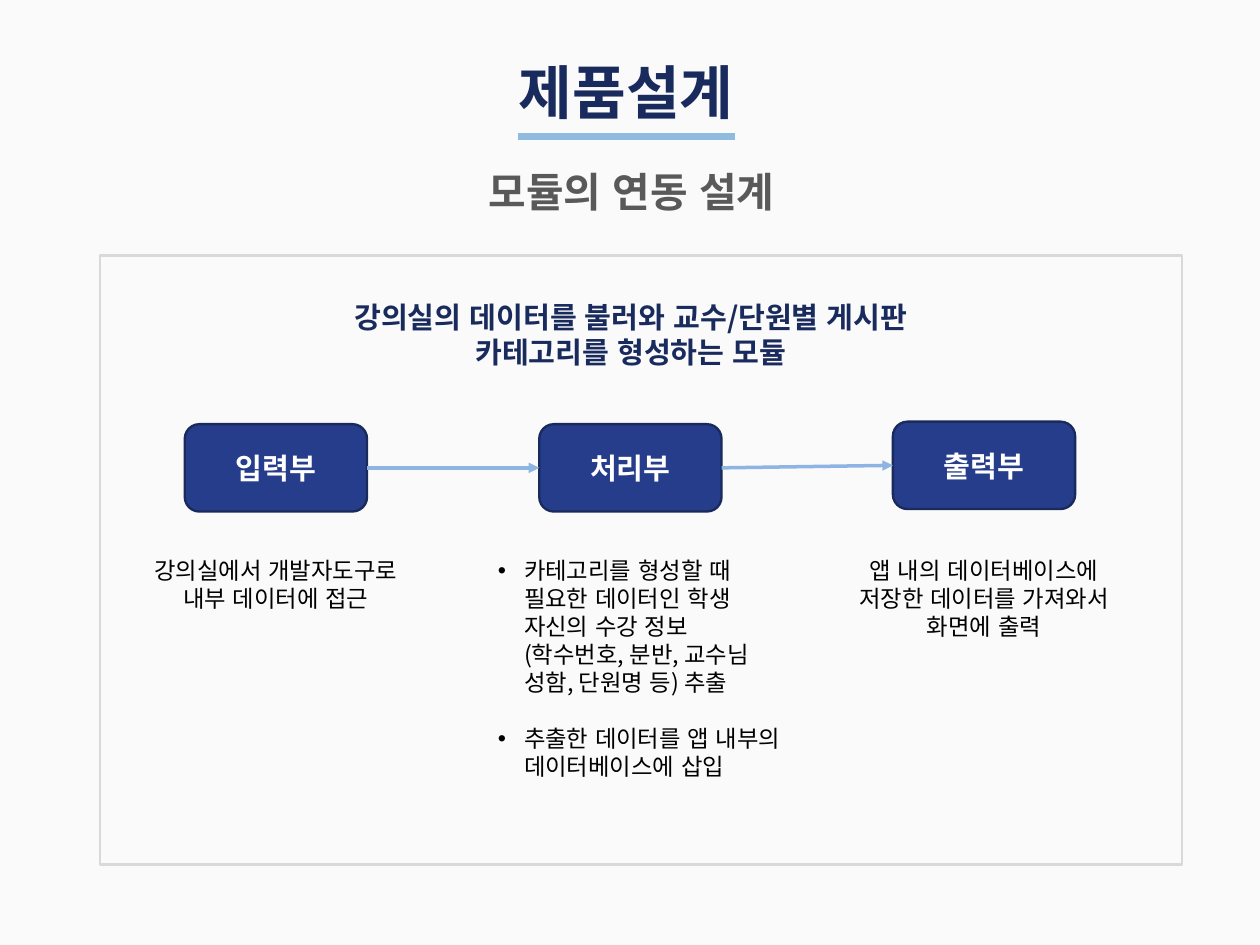
from lxml import etree
from pptx import Presentation
from pptx.dml.color import RGBColor
from pptx.enum.lang import MSO_LANGUAGE_ID
from pptx.enum.shapes import MSO_CONNECTOR, MSO_SHAPE
from pptx.enum.text import MSO_ANCHOR, PP_ALIGN
from pptx.oxml.ns import qn
from pptx.util import Inches, Pt

STRAIGHT = MSO_CONNECTOR.STRAIGHT
RECTANGLE, ROUNDED = MSO_SHAPE.RECTANGLE, MSO_SHAPE.ROUNDED_RECTANGLE
LEFT, CENTER = PP_ALIGN.LEFT, PP_ALIGN.CENTER
MIDDLE = MSO_ANCHOR.MIDDLE
KOREAN = MSO_LANGUAGE_ID.KOREAN

FONT = "Noto Sans CJK KR"
LINE_HEIGHT = 1.2
BACKGROUND = RGBColor(0xFA, 0xFA, 0xFA)
NAVY = RGBColor(0x19, 0x2A, 0x5D)
BLUE = RGBColor(0x25, 0x3D, 0x8B)
UNDERLINE = RGBColor(0x90, 0xBA, 0xDE)
ARROW = RGBColor(0x8E, 0xB4, 0xE3)
FRAME = RGBColor(0xD9, 0xD9, 0xD9)
GRAY = RGBColor(0x59, 0x59, 0x59)
BLACK = RGBColor(0x00, 0x00, 0x00)
WHITE = RGBColor(0xFF, 0xFF, 0xFF)

HEADING = {"size": Pt(25), "bold": True}
BODY = {"size": Pt(20), "bold": False}

STAGE_SIZE = (2.17, 1.04)
# label, left, top
STAGES = [("입력부", 2.2, 5.05), ("처리부", 6.42, 5.05), ("출력부", 10.63, 5.02)]

# left, width, height, paragraphs, bulleted
DESCRIPTIONS = [
    (1.65, 3.27, 0.77, ["강의실에서 개발자도구로 내부 데이터에 접근"], False),
    (5.83, 3.59, 3.13,
     ["카테고리를 형성할 때 필요한 데이터인 학생 자신의 수강 정보 "
      "(학수번호, 분반, 교수님 성함, 단원명 등) 추출",
      "추출한 데이터를 앱 내부의 데이터베이스에 삽입"], True),
    (10.08, 3.27, 1.11,
     ["앱 내의 데이터베이스에 저장한 데이터를 가져와서 화면에 출력"], False),
]


def write(frame, lines, style, color, align=CENTER):
    frame.word_wrap = True
    for index, line in enumerate(lines):
        paragraph = frame.paragraphs[0] if index == 0 else frame.add_paragraph()
        paragraph.alignment = align
        paragraph.line_spacing = Pt(style["size"].pt * LINE_HEIGHT)
        run = paragraph.add_run()
        run.text = line
        for name, value in {"name": FONT, "language_id": KOREAN, **style}.items():
            setattr(run.font, name, value)
        run.font.color.rgb = color
        east_asian = etree.SubElement(run.font._element, qn("a:ea"))
        east_asian.set("typeface", FONT)


def add_text(slide, box, lines, style, color, align=CENTER):
    text_box = slide.shapes.add_textbox(*map(Inches, box))
    write(text_box.text_frame, lines, style, color, align)
    return text_box.text_frame


def add_bullets(frame, gap):
    """Bullet every paragraph, with a gap between neighbours."""
    for paragraph in frame.paragraphs:
        properties = paragraph._p.get_or_add_pPr()
        properties.set("marL", str(Inches(0.31)))
        properties.set("indent", str(-Inches(0.31)))
        font = etree.SubElement(properties, qn("a:buFont"))
        font.set("typeface", "Arial")
        bullet = etree.SubElement(properties, qn("a:buChar"))
        bullet.set("char", "•")
    for paragraph in frame.paragraphs[:-1]:
        paragraph.space_after = gap


def add_frame(slide, box):
    frame = slide.shapes.add_shape(RECTANGLE, *map(Inches, box))
    frame.shadow.inherit = False
    frame.fill.background()
    frame.line.color.rgb = FRAME
    frame.line.width = Pt(2)


def add_stage(slide, label, left, top):
    stage = slide.shapes.add_shape(ROUNDED, *map(Inches, (left, top, *STAGE_SIZE)))
    stage.shadow.inherit = False
    stage.fill.solid()
    stage.fill.fore_color.rgb = BLUE
    stage.line.color.rgb = NAVY
    stage.line.width = Pt(2)
    stage.text_frame.vertical_anchor = MIDDLE
    write(stage.text_frame, [label], HEADING, WHITE)
    return stage


def add_line(slide, ends, color, width):
    line = slide.shapes.add_connector(STRAIGHT, *map(Inches, ends))
    line.line.color.rgb = color
    line.line.width = Pt(width)
    etree.SubElement(line._element.spPr, qn("a:effectLst"))
    return line


def add_arrow(slide, source, target):
    arrow = add_line(slide, (0, 0, 0, 0), ARROW, 3)
    arrow.begin_connect(source, 3)
    arrow.end_connect(target, 1)
    head = etree.SubElement(arrow.line._get_or_add_ln(), qn("a:tailEnd"))
    head.set("type", "triangle")


def main():
    presentation = Presentation()
    presentation.slide_width = Inches(15)
    presentation.slide_height = Inches(11.25)
    slide = presentation.slides.add_slide(presentation.slide_layouts[6])
    slide.background.fill.solid()
    slide.background.fill.fore_color.rgb = BACKGROUND

    add_frame(slide, (1.19, 3.04, 12.88, 7.25))
    add_text(slide, (6.08, 0.62, 2.83, 0.94), ["제품설계"],
             {"size": Pt(50), "bold": True}, NAVY, LEFT)
    add_line(slide, (6.17, 1.62, 8.75, 1.62), UNDERLINE, 6)
    add_text(slide, (0.96, 1.94, 13.12, 0.69), ["모듈의 연동 설계"],
             {"size": Pt(35), "bold": True}, GRAY)
    add_text(slide, (1.19, 3.52, 12.64, 0.94),
             ["강의실의 데이터를 불러와 교수/단원별 게시판", "카테고리를 형성하는 모듈"],
             HEADING, NAVY)

    for left, width, height, lines, bulleted in DESCRIPTIONS:
        frame = add_text(slide, (left, 6.57, width, height), lines, BODY, BLACK,
                         LEFT if bulleted else CENTER)
        if bulleted:
            add_bullets(frame, Pt(BODY["size"].pt * LINE_HEIGHT))

    stages = [add_stage(slide, *stage) for stage in STAGES]
    for source, target in zip(stages, stages[1:]):
        add_arrow(slide, source, target)

    presentation.save("out.pptx")


if __name__ == "__main__":
    main()
